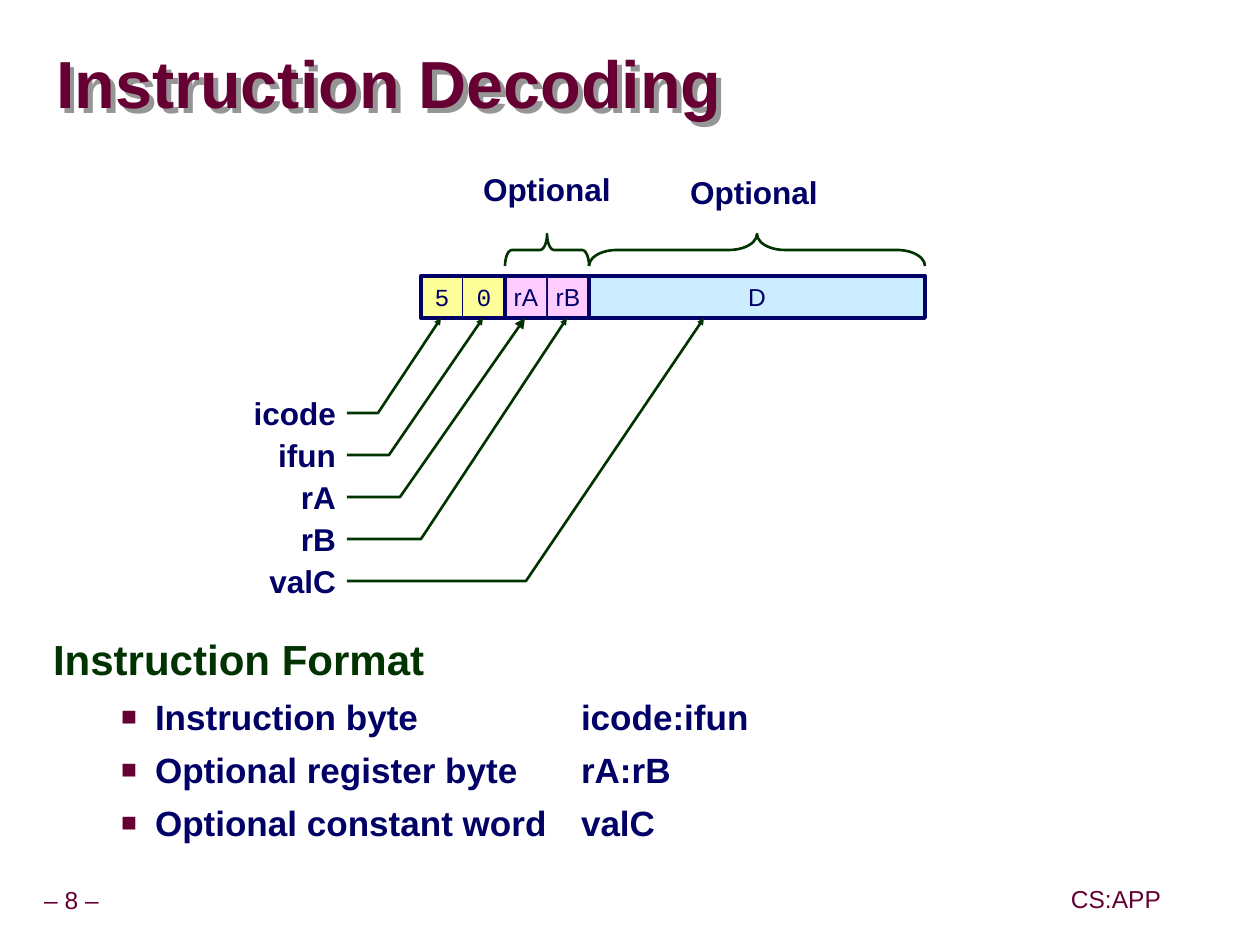
from lxml import etree
from pptx import Presentation
from pptx.dml.color import RGBColor
from pptx.enum.shapes import MSO_SHAPE as Shape
from pptx.enum.text import MSO_ANCHOR as Anchor, PP_ALIGN as Align
from pptx.oxml.ns import qn
from pptx.util import Pt

PX = 7250
NAVY, WINE, GREEN = "000066", "660033", "003300"
CELL, LEFT, TOP = 42, 421, 276
BASE = TOP + CELL


def px(*vals):
    return [round(v * PX) for v in vals]


def paint(fmt, hue):
    fmt.rgb = RGBColor.from_string(hue)


def add(node, tag, **attrs):
    return etree.SubElement(node, qn(tag), {k: str(v) for k, v in attrs.items()})


def write(para, words, size=18, hue=NAVY, font="Arial", bold=False,
          align=Align.LEFT, lead=1.0, before=0):
    para.alignment, para.line_spacing = align, lead
    if before:
        para.space_before = Pt(before)
    run = para.add_run()
    run.text = words
    run.font.size, run.font.name, run.font.bold = Pt(size), font, bold
    paint(run.font.color, hue)


def inset(frame, side, top):
    frame.margin_left = frame.margin_right = px(side)[0]
    frame.margin_top = frame.margin_bottom = px(top)[0]


def label(slide, words, box, pad=6, anchor=Anchor.TOP, **form):
    shape = slide.shapes.add_textbox(*px(*box))
    frame = shape.text_frame
    frame.word_wrap, frame.vertical_anchor = True, anchor
    inset(frame, pad, pad)
    write(frame.paragraphs[0], words, **form)
    return shape


def style(shape, hue, width, fill=None):
    shape.shadow.inherit = False
    if fill:
        shape.fill.solid()
        paint(shape.fill.fore_color, fill)
    else:
        shape.fill.background()
    paint(shape.line.color, hue)
    shape.line.width = Pt(width)


def cell(slide, col, span, fill=None, words="", width=0.5, font="Arial"):
    box = px(LEFT + col * CELL, TOP, span * CELL, CELL)
    shape = slide.shapes.add_shape(Shape.RECTANGLE, *box)
    style(shape, NAVY, width, fill)
    if words:
        frame = shape.text_frame
        frame.word_wrap, frame.vertical_anchor = False, Anchor.MIDDLE
        inset(frame, 13, 6)
        write(frame.paragraphs[0], words, size=14, font=font, align=Align.CENTER)


def leader(slide, y, bend, tip, head):
    path = slide.shapes.build_freeform(347, y, scale=PX)
    path.add_line_segments([(bend, y), (tip, BASE)], close=False)
    shape = path.convert_to_shape()
    style(shape, GREEN, 1.5)
    add(shape.line._get_or_add_ln(), "a:tailEnd", type="triangle", w=head, len=head)


def brace(slide, col, span):
    """Draw a brace that opens downward over a run of cells."""
    wide, tall = span * CELL, 32
    mid = LEFT + col * CELL + wide / 2
    box = px(mid - tall / 2, 250 - wide / 2, tall, wide)
    shape = slide.shapes.add_shape(Shape.LEFT_BRACE, *box)
    shape.rotation = 90
    shape.adjustments[0] = wide / 12 / tall
    style(shape, GREEN, 1.5)


def shade(shape):
    """Cast a grey shadow from the text of an unfilled box."""
    fx = add(shape._element.spPr, "a:effectLst")
    cast = add(fx, "a:outerShdw", dist=px(7)[0], dir=2700000, algn="ctr", rotWithShape=0)
    add(cast, "a:srgbClr", val="969696")


def bullet(para):
    props = para._p.get_or_add_pPr()
    props.set("marL", str(px(102)[0]))
    props.set("indent", str(px(-34)[0]))
    add(add(props, "a:buClr"), "a:srgbClr", val=WINE)
    add(props, "a:buSzPct", val=75000)
    add(props, "a:buFont", typeface="Arial")
    add(props, "a:buChar", char="■")
    add(add(props, "a:tabLst"), "a:tab", pos=px(528)[0], algn="l")


def body(slide):
    shape = label(slide, "Instruction Format", (40, 631, 1144, 256), size=24,
                  hue=GREEN, bold=True, lead=0.95)
    frame = shape.text_frame
    inset(frame, 13, 6)
    for words in ("Instruction byte\ticode:ifun", "Optional register byte\trA:rB",
                  "Optional constant word\tvalC"):
        para = frame.add_paragraph()
        bullet(para)
        write(para, words, size=20, bold=True, before=6.2)


def main():
    deck = Presentation()
    deck.slide_width, deck.slide_height = px(1260, 945)
    slide = deck.slides.add_slide(deck.slide_layouts[6])

    foot = dict(size=14, hue=WINE, align=Align.CENTER, anchor=Anchor.MIDDLE, lead=0.9)
    label(slide, "– 8 –", (0, 882, 143, 39), **foot)
    label(slide, "CS:APP", (1064, 881, 104, 39), **foot)
    shade(label(slide, "Instruction Decoding", (56, 34, 1200, 107), pad=0, size=38,
                hue=WINE, bold=True, anchor=Anchor.MIDDLE, lead=0.87))
    body(slide)

    for col, fill, font, pair in ((0, "FFFF99", "Courier New", "50"),
                                  (2, "FFCCFF", "Arial", ("rA", "rB"))):
        for step, words in enumerate(pair):
            cell(slide, col + step, 1, fill, words, font=font)
        cell(slide, col, 2, width=2.25)
    cell(slide, 4, 8, "CCECFF", "D", width=2.25)

    fields = (("icode", 378, 441, "sm"), ("ifun", 389, 483, "sm"), ("rA", 400, 525, "med"),
              ("rB", 421, 567, "sm"), ("valC", 526, 704, "sm"))
    for row, (name, bend, tip, head) in enumerate(fields):
        y = 413 + row * CELL
        label(slide, name, (211, y - 21, 131, 47), bold=True, align=Align.RIGHT, lead=0.9)
        leader(slide, y, bend, tip, head)

    for col, span, mid, top in ((2, 2, 547, 168), (4, 8, 754, 171)):
        brace(slide, col, span)
        label(slide, "Optional", (mid - 70, top, 140, 47), bold=True,
              align=Align.CENTER, lead=0.9)
    deck.save("out.pptx")


if __name__ == "__main__":
    main()
